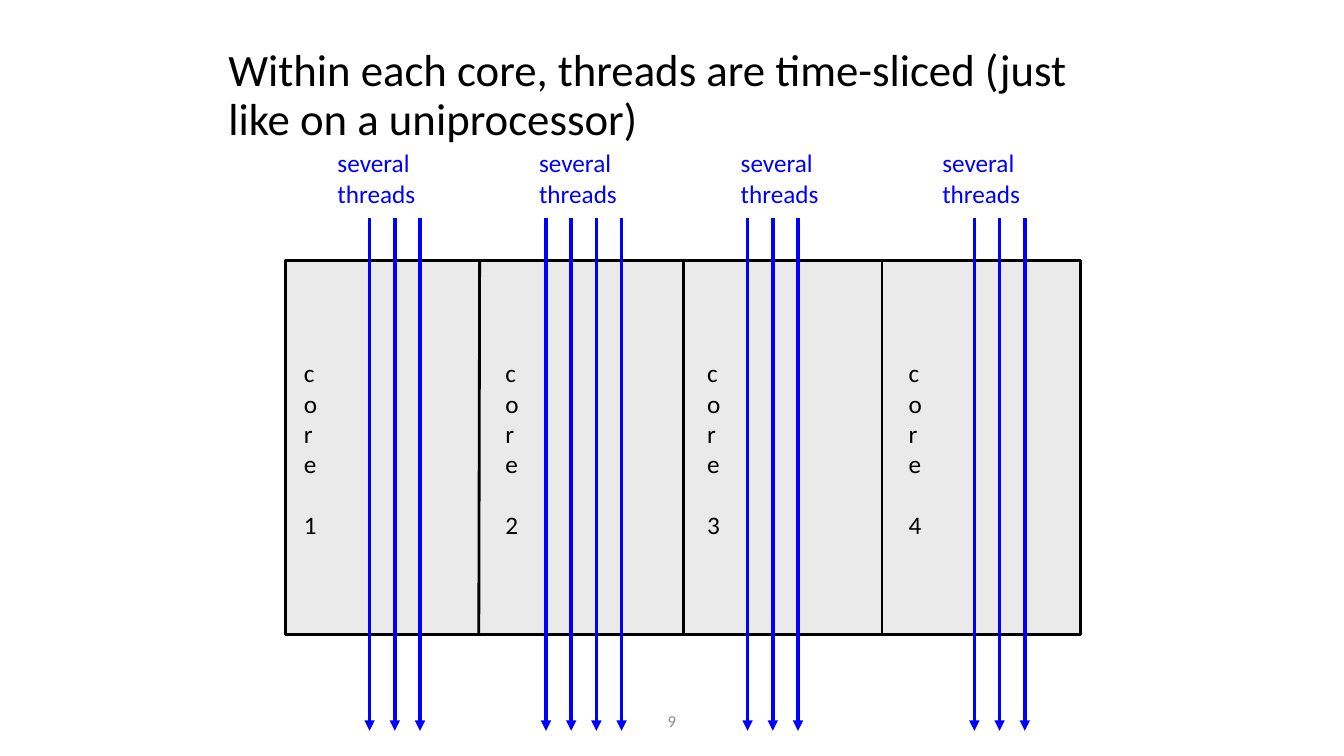
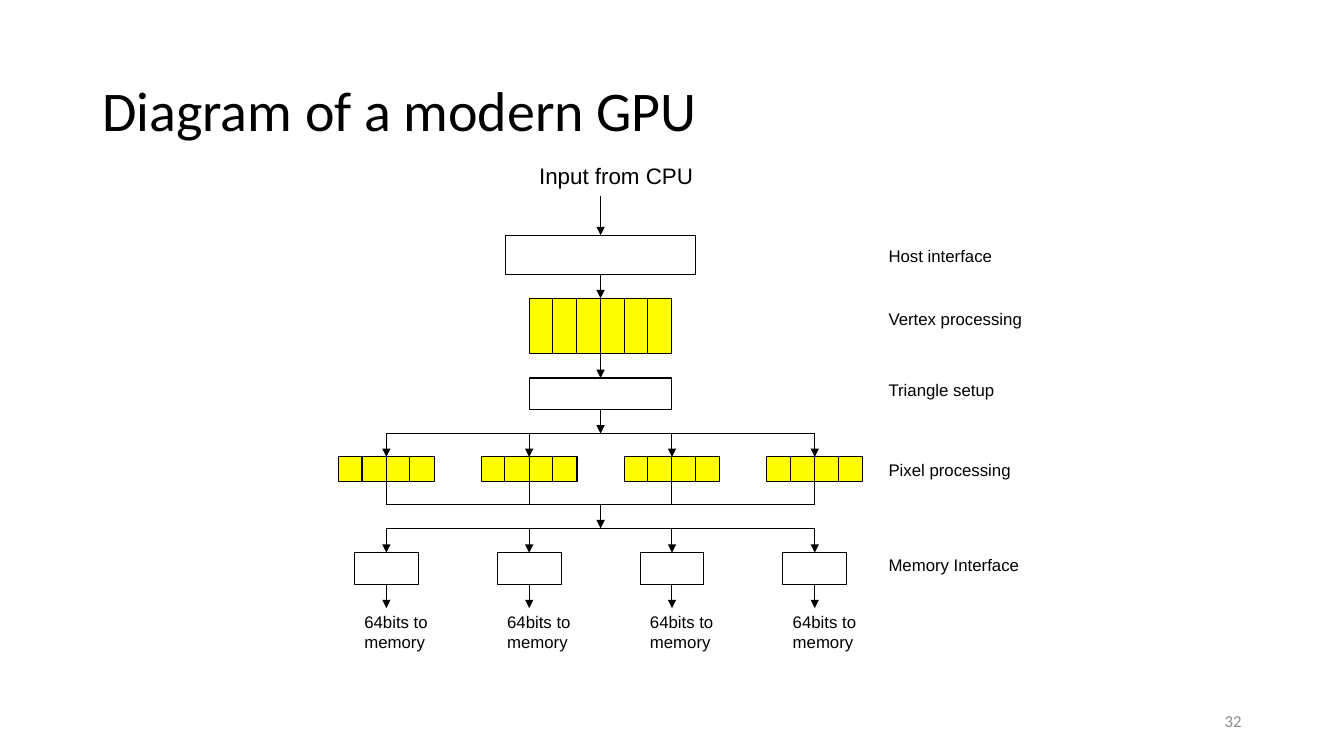
from dataclasses import dataclass

from lxml.etree import SubElement
from pptx import Presentation
from pptx.dml.color import RGBColor
from pptx.enum.shapes import MSO_CONNECTOR, MSO_SHAPE
from pptx.enum.text import MSO_ANCHOR, PP_ALIGN
from pptx.oxml.ns import qn
from pptx.util import Emu, Pt


@dataclass(frozen=True)
class Theme:
    black: str = "000000"
    white: str = "FFFFFF"
    gray: str = "EAEAEA"
    mute: str = "8C8C8C"
    blue: str = "0000FF"
    yellow: str = "FFFF00"
    main: str = "Calibri"
    plain: str = "Arial"
    body: int = 18
    input: int = 16
    small: int = 12
    thin: float = 0.75
    mid: float = 2
    bold: float = 2.5


THEME = Theme()
SCALE = 7620
WIDE, HIGH = 1600, 900

CORES = {
    "title": ("Within each core, threads are time-sliced (just like on a uniprocessor)",
              (260, 40, 1080, 150), 32),
    "number": ("9", (530, 834, 540, 48), PP_ALIGN.CENTER),
    "chip": (340, 310, 946, 445),
    "splits": [(571, 570), (814, 814), (1050, 1050)],
    "label": "several\nthreads",
    "threads": [(440, 3), (650, 4), (890, 3), (1160, 3)],
}
PITCH, GAP = 240, 30

GPU = {
    "title": ("Diagram of a modern GPU", (110, 48, 1380, 174), 40),
    "number": ("32", (1130, 834, 360, 48), PP_ALIGN.RIGHT),
    "input": "Input from CPU",
    "labels": [("Host interface", 304), ("Vertex processing", 379),
               ("Triangle setup", 464), ("Pixel processing", 559),
               ("Memory Interface", 672)],
    "output": ["64bits to", "memory"],
    "lanes": [460 + 170 * i for i in range(4)],
}
AXIS = 715


def px(n):
    return Emu(n * SCALE)


def rgb(code):
    return RGBColor.from_string(code)


def text(slide, box, lines, size, color=THEME.black, font=THEME.main,
         align=PP_ALIGN.LEFT, anchor=MSO_ANCHOR.MIDDLE, space=None, gap=0):
    frame = slide.shapes.add_textbox(*map(px, box)).text_frame
    frame.word_wrap = True
    frame.vertical_anchor = anchor
    for i, line in enumerate(lines):
        para = frame.add_paragraph() if i else frame.paragraphs[0]
        para.text = line
        para.alignment = align
        if space:
            para.line_spacing = space
        if i and gap:
            para.space_before = Pt(gap)
        para.font.size = Pt(size)
        para.font.name = font
        para.font.color.rgb = rgb(color)


def rect(slide, box, fill=THEME.white, width=THEME.thin):
    shape = slide.shapes.add_shape(MSO_SHAPE.RECTANGLE, *map(px, box))
    shape.shadow.inherit = False
    shape.fill.solid()
    shape.fill.fore_color.rgb = rgb(fill)
    shape.line.color.rgb = rgb(THEME.black)
    shape.line.width = Pt(width)
    return shape


def link(slide, start, end, color=THEME.black, width=THEME.thin,
         arrow=True, source=None, target=None):
    wire = slide.shapes.add_connector(MSO_CONNECTOR.STRAIGHT, *map(px, start + end))
    wire.line.color.rgb = rgb(color)
    wire.line.width = Pt(width)
    if arrow:
        SubElement(wire.line._get_or_add_ln(), qn("a:tailEnd"), type="triangle")
    SubElement(wire._element.spPr, qn("a:effectLst"))
    if source is not None:
        wire.begin_connect(source, 2)
    if target is not None:
        wire.end_connect(target, 0)


def cells(slide, left, top, width, height, count):
    edges = [left + width * i // count for i in range(count + 1)]
    for a, b in zip(edges, edges[1:]):
        rect(slide, (a, top, b - a, height), THEME.yellow)


def start(deck, data):
    slide = deck.slides.add_slide(deck.slide_layouts[6])
    title, box, size = data["title"]
    text(slide, box, [title], size, space=0.9)
    number, box, align = data["number"]
    text(slide, box, [number], THEME.small, THEME.mute, align=align)
    return slide


def cores(deck):
    slide = start(deck, CORES)
    chip = CORES["chip"]
    top, base = chip[1], chip[1] + chip[3]
    rect(slide, chip, THEME.gray, THEME.mid)
    for a, b in CORES["splits"]:
        link(slide, (a, top), (b, base), width=THEME.mid, arrow=False)
    for i, (first, count) in enumerate(CORES["threads"]):
        shift = PITCH * i
        text(slide, (350 + shift, 420, 43, 228), ["core", str(i + 1)], THEME.body,
             anchor=MSO_ANCHOR.TOP, gap=22)
        text(slide, (390 + shift, 170, 130, 85), [CORES["label"]], THEME.body,
             THEME.blue, anchor=MSO_ANCHOR.TOP)
        for j in range(count):
            x = first + GAP * j
            link(slide, (x, 260), (x, 870), THEME.blue, THEME.bold)


def gpu(deck):
    slide = start(deck, GPU)
    lanes = GPU["lanes"]
    text(slide, (630, 189, 260, 40), [GPU["input"]], THEME.input, font=THEME.plain)
    host = rect(slide, (602, 280, 226, 47))
    setup = rect(slide, (630, 450, 170, 37))
    cells(slide, 630, 355, 170, 66, 6)
    for a, b, source, target in [(233, 280, None, host), (327, 355, host, None),
                                 (421, 450, None, setup), (487, 516, setup, None),
                                 (601, 629, None, None)]:
        link(slide, (AXIS, a), (AXIS, b), source=source, target=target)
    for y in (516, 601, 629):
        link(slide, (lanes[0], y), (lanes[-1], y), arrow=False)
    for x in lanes:
        cells(slide, x - 57, 544, 114, 29, 4)
        link(slide, (x, 516), (x, 544))
        link(slide, (x, 573), (x, 601), arrow=False)
        memory = rect(slide, (x - 38, 658, 76, 38))
        link(slide, (x, 629), (x, 658), target=memory)
        link(slide, (x, 696), (x, 724), source=memory)
        text(slide, (x - 38, 722, 120, 60), GPU["output"], THEME.small,
             font=THEME.plain)
    for label, y in GPU["labels"]:
        text(slide, (1046, y - 20, 198, 40), [label], THEME.small, font=THEME.plain)


def main():
    deck = Presentation()
    deck.slide_width, deck.slide_height = px(WIDE), px(HIGH)
    cores(deck)
    gpu(deck)
    deck.save("out.pptx")


if __name__ == "__main__":
    main()
